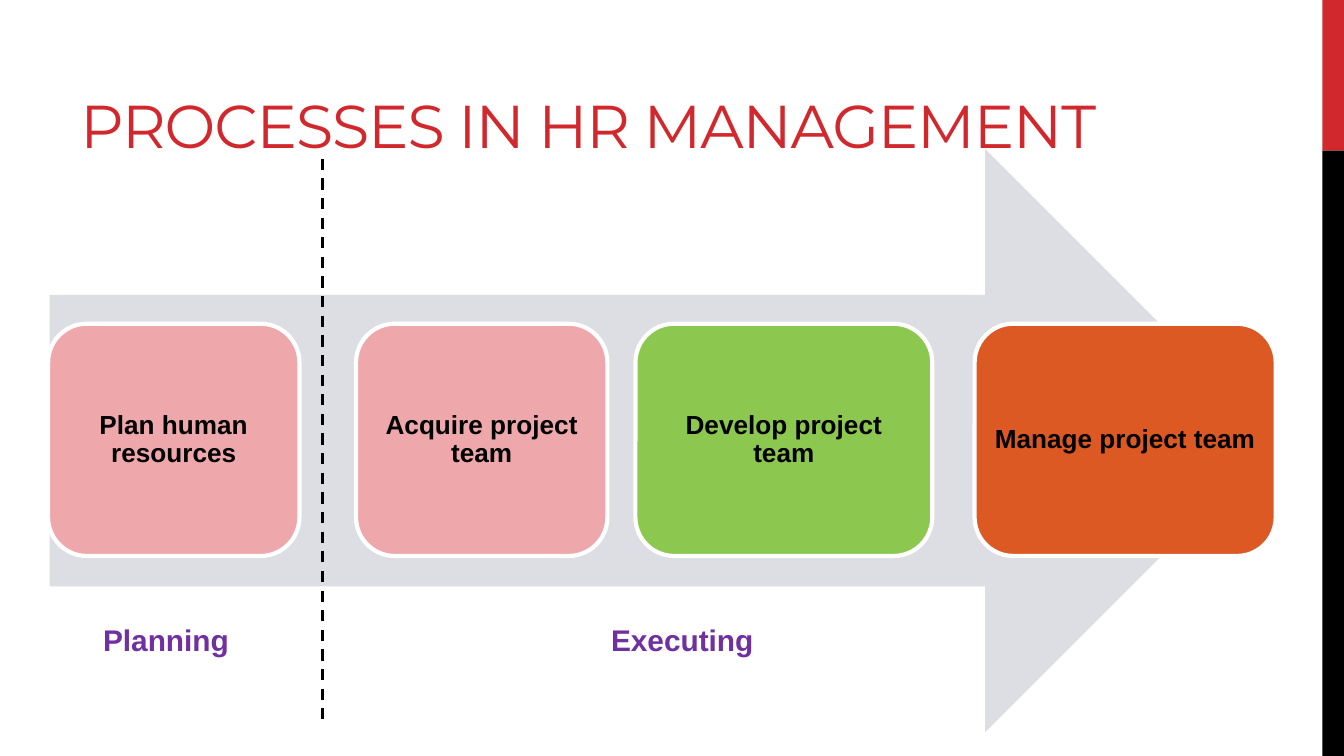
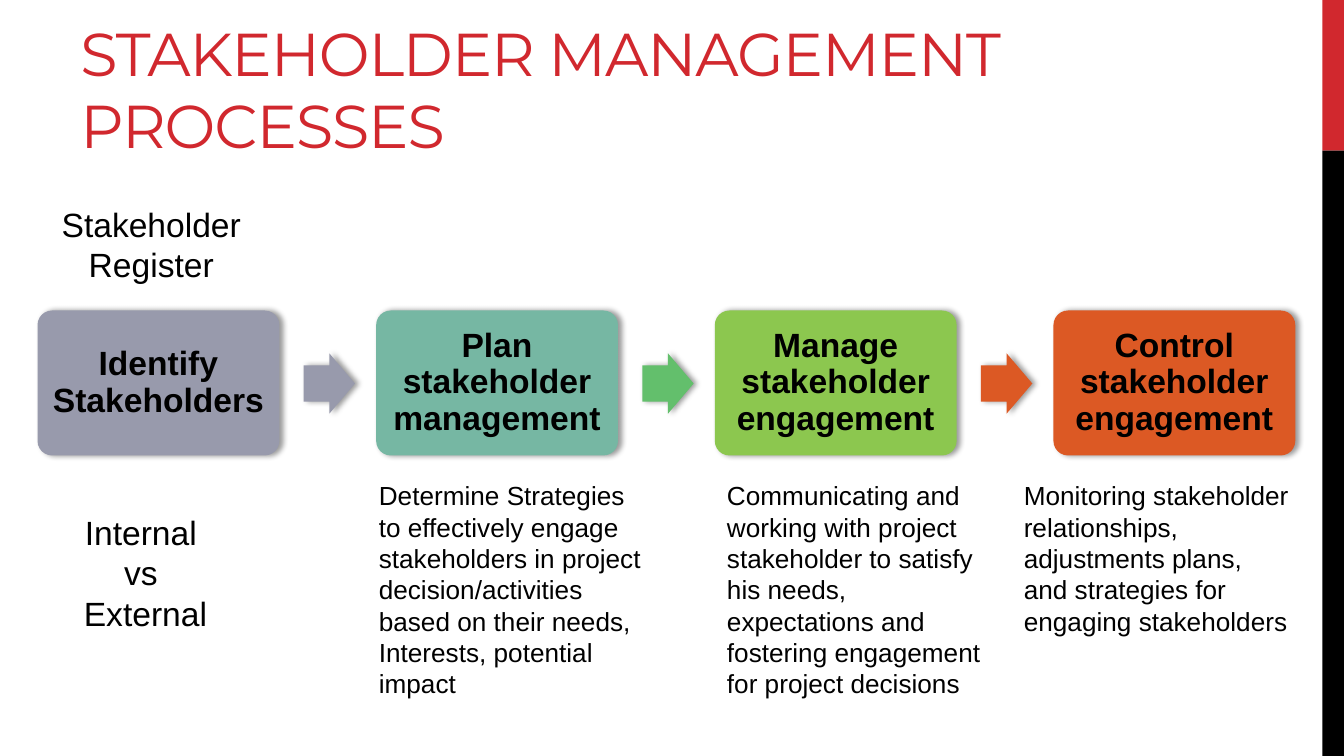
"""Builds two slides on human resource and stakeholder management processes."""
from lxml import etree
from pptx import Presentation
from pptx import util as u
from pptx.dml.color import RGBColor
from pptx.enum import dml, shapes, text
from pptx.oxml.ns import qn

RED, BLACK, WHITE = "D1282E", "000000", "FFFFFF"
PURPLE, PALE_GREY, GREY = "7030A0", "DDDEE3", "989AAC"
PINK, TEAL, MINT, GREEN, ORANGE = "EEA7AA", "76B7A3", "63BF6C", "8CC74F", "DC5924"
PAGE_WIDTH, PAGE_HEIGHT = 25.4, 14.29
BAND_LEFT, BAND_SPLIT = 24.99, 2.85

HR_STEPS = [
    ("Plan human resources", PINK, 0.91, 4.75),
    ("Acquire project team", PINK, 6.73, 4.75),
    ("Develop project team", GREEN, 12.01, 5.61),
    ("Manage project team", ORANGE, 18.42, 5.69),
]
HR_PHASES = [("Planning", 1.7, 3.07), ("Executing", 11.3, 3.23)]

STAKEHOLDER_STEPS = [
    ("Identify Stakeholders", GREY),
    ("Plan stakeholder management", TEAL),
    ("Manage stakeholder engagement", GREEN),
    ("Control stakeholder engagement", ORANGE),
]
STEP_ARROWS = [GREY, MINT, ORANGE]
STAKEHOLDER_NOTES = [
    (["Stakeholder ", "Register"], (0.89, 3.73, 3.94, 1.8)),
    (["Internal ", "vs ", "External"], (1.3, 9.55, 2.9, 2.57)),
]
STEP_DETAILS = [
    ("Determine Strategies to effectively engage stakeholders in project "
     "decision/activities based on their needs, Interests, potential impact", 6.91, 4.45),
    ("Communicating and working with project stakeholder to satisfy his needs, "
     "expectations and fostering engagement for project decisions", 13.49, 4.45),
    ("Monitoring stakeholder relationships, adjustments plans, and strategies "
     "for engaging stakeholders", 19.1, 3.25),
]


def color(value):
    return RGBColor.from_string(value)


def lengths(box):
    return [u.Cm(value) for value in box]


def write(frame, lines, size, ink=BLACK, bold=False, font="Arial", centered=False, spacing=None):
    for index, line in enumerate(lines):
        paragraph = frame.paragraphs[0] if index == 0 else frame.add_paragraph()
        paragraph.alignment = text.PP_ALIGN.CENTER if centered else text.PP_ALIGN.LEFT
        paragraph.line_spacing = spacing
        run = paragraph.add_run()
        run.text = line
        run.font.size = u.Pt(size)
        run.font.name = font
        run.font.bold = bold
        run.font.color.rgb = color(ink)


def add_text(slide, box, lines, size, wrap=True, anchor=text.MSO_ANCHOR.TOP, **style):
    frame = slide.shapes.add_textbox(*lengths(box)).text_frame
    frame.word_wrap = wrap
    frame.vertical_anchor = anchor
    write(frame, lines, size, **style)
    return frame


def add_shape(slide, kind, box, fill, adjustments=()):
    shape = slide.shapes.add_shape(kind, *lengths(box))
    shape.shadow.inherit = False
    shape.fill.solid()
    shape.fill.fore_color.rgb = color(fill)
    shape.line.fill.background()
    for index, value in enumerate(adjustments):
        shape.adjustments[index] = value
    return shape


def add_step(slide, box, label, fill, size, inset, adjustments=()):
    shape = add_shape(slide, shapes.MSO_SHAPE.ROUNDED_RECTANGLE, box, fill, adjustments)
    frame = shape.text_frame
    frame.word_wrap = True
    frame.vertical_anchor = text.MSO_ANCHOR.MIDDLE
    frame.margin_left = frame.margin_right = u.Cm(inset)
    frame.margin_top = frame.margin_bottom = u.Cm(inset)
    write(frame, [label], size, bold=True, centered=True, spacing=0.9)
    return shape


def cast_shadow(shape):
    effects = shape._element.spPr.find(qn("a:effectLst"))
    shadow = etree.SubElement(effects, qn("a:outerShdw"), blurRad=str(u.Pt(3.1)),
                              dist=str(u.Pt(1.8)), dir="0", rotWithShape="0")
    shade = etree.SubElement(shadow, qn("a:srgbClr"), val=BLACK)
    etree.SubElement(shade, qn("a:alpha"), val="40000")


def add_dashed_line(slide, x, top, bottom):
    line = slide.shapes.add_connector(shapes.MSO_CONNECTOR.STRAIGHT, *lengths((x, top, x, bottom)))
    line.line.color.rgb = color(BLACK)
    line.line.width = u.Pt(1.5)
    line.line.dash_style = dml.MSO_LINE.DASH
    etree.SubElement(line._element.spPr, qn("a:effectLst"))


def add_slide(presentation, title, title_width):
    slide = presentation.slides.add_slide(presentation.slide_layouts[6])
    for fill, top, bottom in [(RED, 0, BAND_SPLIT), (BLACK, BAND_SPLIT, PAGE_HEIGHT)]:
        band = (BAND_LEFT, top, PAGE_WIDTH - BAND_LEFT, bottom - top)
        add_shape(slide, shapes.MSO_SHAPE.RECTANGLE, band, fill)
    frame = add_text(slide, (1.27, 0.33, title_width, 2.84), [title], 32.4,
                     anchor=text.MSO_ANCHOR.BOTTOM, ink=RED, font="Montserrat")
    frame.paragraphs[0].runs[0].font._element.set("spc", "-60")
    return slide


def build_hr_slide(presentation):
    slide = add_slide(presentation, "PROCESSES IN HR MANAGEMENT", 22.83)
    add_shape(slide, shapes.MSO_SHAPE.RIGHT_ARROW, (0.94, 2.82, 23.19, 11.02), PALE_GREY)
    for label, fill, left, width in HR_STEPS:
        step = add_step(slide, (left, 6.12, width, 4.39), label, fill, 14, 0.15)
        step.line.color.rgb = color(WHITE)
        step.line.width = u.Pt(2.25)
    for label, left, width in HR_PHASES:
        add_text(slide, (left, 11.63, width, 0.94), [label], 16, wrap=False, ink=PURPLE, bold=True)
    add_dashed_line(slide, 6.1, 3, 13.67)


def build_stakeholder_slide(presentation):
    slide = add_slide(presentation, "STAKEHOLDER MANAGEMENT PROCESSES", 23.24)
    first_left, pitch, arrow_offset = 0.71, 6.4, 5.03
    for index, (label, fill) in enumerate(STAKEHOLDER_STEPS):
        left = first_left + index * pitch
        cast_shadow(add_step(slide, (left, 5.87, 4.57, 2.74), label, fill, 18, 0.18, [0.1]))
        if index < len(STEP_ARROWS):
            cast_shadow(add_shape(slide, shapes.MSO_SHAPE.RIGHT_ARROW,
                                  (left + arrow_offset, 6.68, 0.97, 1.14),
                                  STEP_ARROWS[index], [0.6, 0.5]))
    for lines, box in STAKEHOLDER_NOTES:
        add_text(slide, box, lines, 18, wrap=False, centered=True)
    for detail, left, height in STEP_DETAILS:
        add_text(slide, (left, 8.94, 5.59, height), [detail], 14)


def main():
    presentation = Presentation()
    presentation.slide_width = u.Cm(PAGE_WIDTH)
    presentation.slide_height = u.Cm(PAGE_HEIGHT)
    build_hr_slide(presentation)
    build_stakeholder_slide(presentation)
    presentation.save("out.pptx")


if __name__ == "__main__":
    main()
